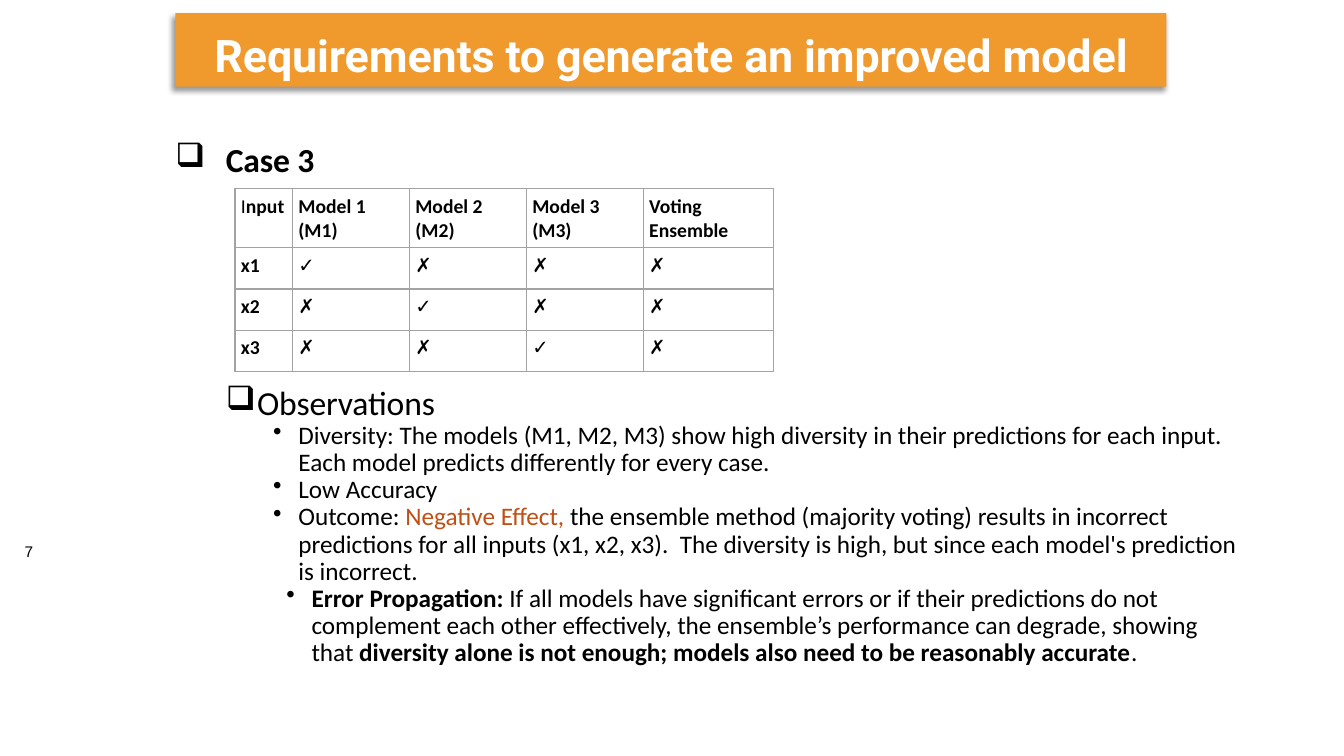
from lxml.etree import SubElement
from pptx import Presentation
from pptx.dml.color import RGBColor
from pptx.enum.shapes import MSO_SHAPE
from pptx.enum.text import MSO_ANCHOR, PP_ALIGN
from pptx.oxml.ns import qn
from pptx.util import Inches, Pt

ORANGE = RGBColor(0xF0, 0x99, 0x2C)
WHITE = RGBColor(0xFF, 0xFF, 0xFF)
BLACK = RGBColor(0x00, 0x00, 0x00)
RUST = RGBColor(0xC0, 0x4F, 0x15)
GRID = "A3A3A3"

COLUMN_WIDTHS = [0.57, 1.16, 1.16, 1.16, 1.29]
ROW_HEIGHTS = [0.58, 0.41, 0.41, 0.41]
HEADERS = ["Input", "Model 1 (M1)", "Model 2 (M2)", "Model 3 (M3)", "Voting Ensemble"]
PREDICTIONS = [["x1", "✓✗✗✗"], ["x2", "✗✓✗✗"], ["x3", "✗✗✓✗"]]

OBSERVATIONS = [
    (1.75, [("Diversity: The models (M1, M2, M3) show high diversity in their predictions "
             "for each input. Each model predicts differently for every case.", {})]),
    (1.75, [("Low Accuracy", {})]),
    (1.75, [("Outcome: ", {}), ("Negative Effect,", {"color": RUST}),
            (" the ensemble method (majority voting) results in incorrect predictions for all "
             "inputs (x1, x2, x3).  The diversity is high, but since each model's prediction "
             "is incorrect.", {})]),
    (1.88, [("Error Propagation:", {"bold": True}),
            (" If all models have significant errors or if their predictions do not complement "
             "each other effectively, the ensemble’s performance can degrade, showing that ", {}),
            ("diversity alone is not enough; models also need to be reasonably accurate",
             {"bold": True}), (".", {})]),
]


def add_run(paragraph, text, size=18, font="Calibri", color=BLACK, bold=False, spacing=0):
    """Append formatted text to a paragraph."""
    run = paragraph.add_run()
    run.text = text
    run.font.size = Pt(size)
    run.font.name = font
    run.font.color.rgb = color
    run.font.bold = bold
    if spacing:
        run.font._element.set("spc", str(round(spacing * 100)))


def set_bullet(paragraph, char, left, hanging):
    """Give a paragraph a bullet and a hanging indent in inches."""
    properties = paragraph._p.get_or_add_pPr()
    properties.set("marL", str(Inches(left)))
    properties.set("indent", str(Inches(-hanging)))
    SubElement(properties, qn("a:buChar"), char=char)


def prepare_frame(shape, anchor=MSO_ANCHOR.TOP):
    """Return the wrapped, marginless text frame of a shape."""
    frame = shape.text_frame
    frame.word_wrap = True
    frame.vertical_anchor = anchor
    frame.margin_left = frame.margin_top = frame.margin_right = frame.margin_bottom = 0
    return frame


def add_text_frame(slide, left, top, width, height, anchor=MSO_ANCHOR.TOP):
    """Add a text box and return its frame."""
    box = slide.shapes.add_textbox(Inches(left), Inches(top), Inches(width), Inches(height))
    return prepare_frame(box, anchor)


def add_title(slide, left, top, width, height):
    """Draw the shadowed title banner."""
    banner = slide.shapes.add_shape(
        MSO_SHAPE.RECTANGLE, Inches(left), Inches(top), Inches(width), Inches(height))
    banner.fill.solid()
    banner.fill.fore_color.rgb = ORANGE
    banner.line.fill.background()
    banner.shadow.inherit = False
    effects = banner._element.spPr.find(qn("a:effectLst"))
    shadow = SubElement(effects, qn("a:outerShdw"), blurRad=str(Pt(4)), dist=str(Pt(3)),
                        dir=str(135 * 60000), algn="tr", rotWithShape="0")
    shade = SubElement(shadow, qn("a:srgbClr"), val="000000")
    SubElement(shade, qn("a:alpha"), val="40000")
    title = prepare_frame(banner, MSO_ANCHOR.MIDDLE).paragraphs[0]
    title.alignment = PP_ALIGN.CENTER
    title.line_spacing = Pt(45.1)
    add_run(title, "Requirements to generate an improved model",
            size=32, font="Roboto", color=WHITE, bold=True, spacing=-0.1)


def add_page_number(slide, left, top, width, height):
    """Place the page number at the left edge."""
    number = add_text_frame(slide, left, top, width, height, MSO_ANCHOR.MIDDLE).paragraphs[0]
    number.alignment = PP_ALIGN.RIGHT
    number.line_spacing = Pt(13.2)
    add_run(number, "7", size=11, font="Arial", spacing=-0.5)


def add_case_heading(slide, left, top, width, height):
    """Place the heading of the case."""
    heading = add_text_frame(slide, left, top, width, height).paragraphs[0]
    set_bullet(heading, "❑", 1.03, 0.5)
    add_run(heading, "Case 3", size=24, bold=True, spacing=-0.1)


def style_cell(cell):
    """Clear the fill of a cell and give it margins and thin borders."""
    cell.fill.background()
    cell.margin_left = cell.margin_right = Inches(0.06)
    cell.margin_top = cell.margin_bottom = Inches(0.06)
    properties = cell._tc.get_or_add_tcPr()
    for index, side in enumerate(["a:lnL", "a:lnR", "a:lnT", "a:lnB"]):
        border = SubElement(properties, qn(side), w=str(Pt(1)))
        properties.insert(index, border)
        paint = SubElement(border, qn("a:solidFill"))
        SubElement(paint, qn("a:srgbClr"), val=GRID)


def add_prediction_table(slide, left, top):
    """Draw the table of model predictions."""
    rows = [HEADERS] + [[name, *marks] for name, marks in PREDICTIONS]
    table = slide.shapes.add_table(
        len(rows), len(HEADERS), Inches(left), Inches(top),
        Inches(sum(COLUMN_WIDTHS)), Inches(sum(ROW_HEIGHTS))).table
    table.first_row = table.horz_banding = False
    for column, width in zip(table.columns, COLUMN_WIDTHS):
        column.width = Inches(width)
    for row, height in zip(table.rows, ROW_HEIGHTS):
        row.height = Inches(height)
    for row, values in zip(table.rows, rows):
        for cell, value in zip(row.cells, values):
            style_cell(cell)
            paragraph = cell.text_frame.paragraphs[0]
            if value == "Input":
                add_run(paragraph, "I", size=14)
                value = "nput"
            is_mark = value in ("✓", "✗")
            add_run(paragraph, value, size=14, bold=not is_mark,
                    font="Roboto" if is_mark else "Calibri")


def add_observations(slide, left, top, width, height):
    """Write the observations heading and its bullet list."""
    frame = add_text_frame(slide, left, top, width, height)
    heading = frame.paragraphs[0]
    set_bullet(heading, "❑", 1.34, 0.31)
    add_run(heading, "Observations", size=24, spacing=-0.1)
    for indent, parts in OBSERVATIONS:
        observation = frame.add_paragraph()
        observation.line_spacing = 0.9
        set_bullet(observation, "•", indent, 0.25)
        for text, style in parts:
            add_run(observation, text, **style)


def main():
    """Build and save the slide."""
    deck = Presentation()
    deck.slide_width, deck.slide_height = Inches(13.33), Inches(7.5)
    slide = deck.slides.add_slide(deck.slide_layouts[6])
    add_title(slide, 1.74, 0.13, 9.83, 0.73)
    add_page_number(slide, 0.06, 5.37, 0.27, 0.2)
    add_case_heading(slide, 1.21, 1.38, 11.09, 0.41)
    add_prediction_table(slide, 2.33, 1.87)
    add_observations(slide, 1.21, 3.79, 11.09, 2.9)
    deck.save("out.pptx")


if __name__ == "__main__":
    main()
